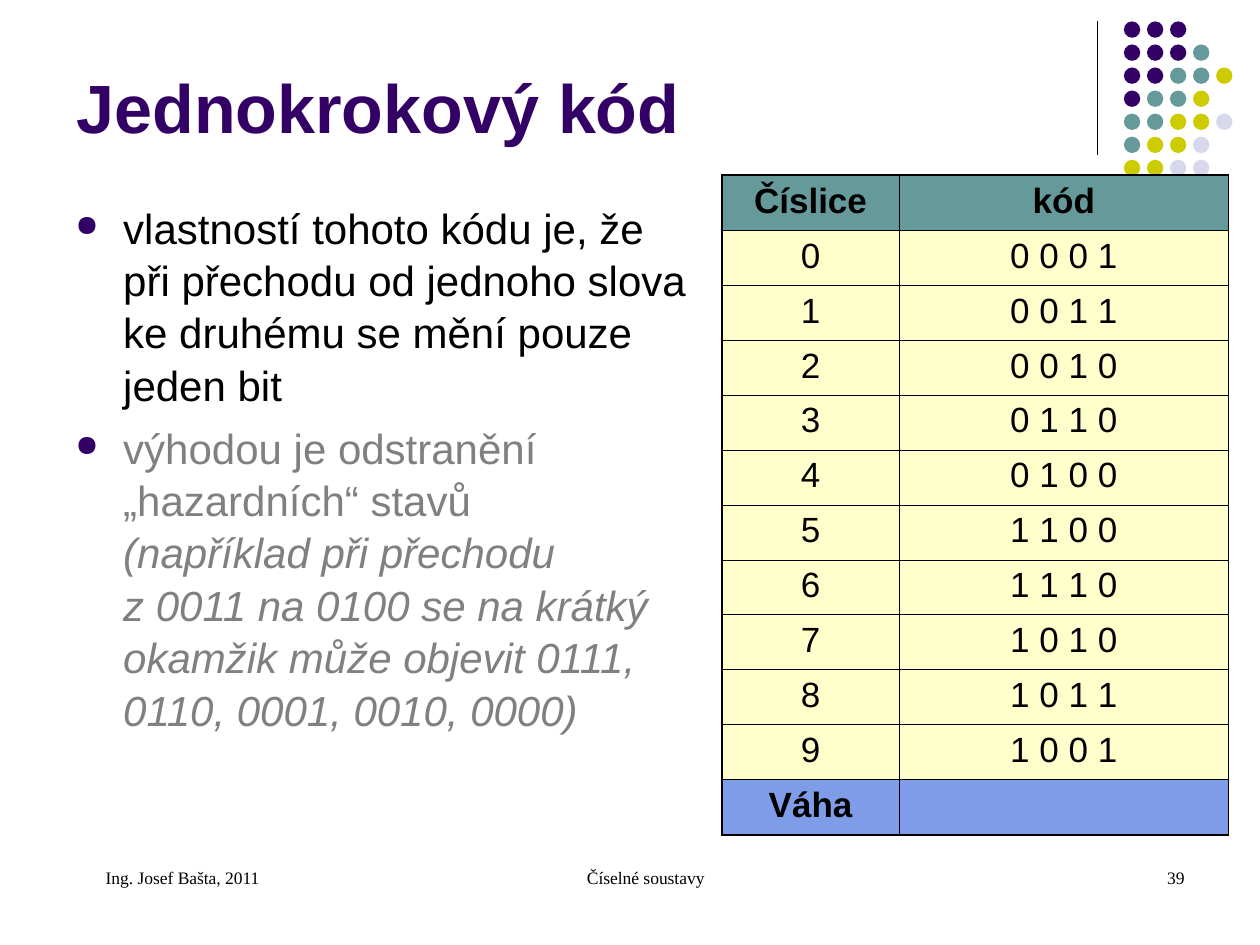
from pptx import Presentation
from pptx.dml.color import RGBColor
from pptx.enum.shapes import MSO_CONNECTOR, MSO_SHAPE
from pptx.enum.text import MSO_ANCHOR, PP_ALIGN
from pptx.oxml.ns import qn
from pptx.util import Inches, Pt
from lxml import etree

LEFT, CENTER, RIGHT = PP_ALIGN.LEFT, PP_ALIGN.CENTER, PP_ALIGN.RIGHT
TOP, BOTTOM = MSO_ANCHOR.TOP, MSO_ANCHOR.BOTTOM
OVAL, STRAIGHT = MSO_SHAPE.OVAL, MSO_CONNECTOR.STRAIGHT

THEME = {
    "purple": "330066", "teal": "669999", "olive": "CCCC00", "lilac": "D8D8EC",
    "black": "000000", "grey": "808080", "cream": "FFFFCC", "blue": "7E9CE8",
    "sans": "Arial", "serif": "Times New Roman",
    "title": 39, "body": 24, "table": 20, "footer": 10,
    "thin": 0.45, "thick": 1.08, "rule": 0.75,
}

TITLE = "Jednokrokový kód"
# Each bullet is a list of runs: text, colour, italic
BULLETS = [
    [("vlastností tohoto kódu je, že při přechodu od jednoho slova "
      "ke druhému se mění pouze jeden bit", "black", False)],
    [("výhodou je odstranění „hazardních“ stavů\n", "grey", False),
     ("(například při přechodu\nz 0011 na 0100 se na krátký okamžik může "
      "objevit 0111, 0110, 0001, 0010, 0000)", "grey", True)],
]
HEADER = ("Číslice", "kód")
CODES = ["0 0 0 1", "0 0 1 1", "0 0 1 0", "0 1 1 0", "0 1 0 0",
         "1 1 0 0", "1 1 1 0", "1 0 1 0", "1 0 1 1", "1 0 0 1"]
WEIGHTS = ("Váha", "")
DOT_COLOURS = {"p": "purple", "t": "teal", "o": "olive", "l": "lilac"}
DOT_ROWS = ["ppp", "pppt", "pptto", "ptto", "ttool", "tool", "ooll"]

# Left, top, width, height in percent of the slide
TITLE_BOX = (5.1, 4.8, 82.5, 11.47)
BODY_BOX = (5, 20.53, 51, 68.8)
TABLE_BOX = (57.3, 18.53, 40.2, 69.8)
FOOTERS = [
    ("Ing. Josef Bašta, 2011", LEFT, (5, 91.07, 23.3, 6.67)),
    ("Číselné soustavy", CENTER, (34.2, 91.07, 31.7, 6.67)),
    ("39", RIGHT, (71.7, 91.07, 23.3, 6.67)),
]
RULE = (87.1, 2.27, 0, 14.13)
FIRST_COLUMN_SHARE = 0.35
# Percent of the slide's width
DOT_LEFT, DOT_TOP, DOT_PITCH, DOT_SIZE = 89.2, 1.7, 1.83, 1.3

presentation = Presentation()
presentation.slide_width, presentation.slide_height = Inches(10), Inches(7.5)
slide = presentation.slides.add_slide(presentation.slide_layouts[6])


def across(percent):
    return round(presentation.slide_width * percent / 100)


def down(percent):
    return round(presentation.slide_height * percent / 100)


def place(box):
    left, top, width, height = box
    return across(left), down(top), across(width), down(height)


def colour(name):
    return RGBColor.from_string(THEME[name])


def add_run(paragraph, text, size, ink="black", face="sans", bold=False, italic=False):
    """Add text to the paragraph, with a line break at each newline."""
    for number, line in enumerate(text.split("\n")):
        if number:
            paragraph.add_line_break()
        if line:
            run = paragraph.add_run()
            run.text = line
            font = run.font
            font.name, font.size = THEME[face], Pt(THEME[size])
            font.bold, font.italic = bold, italic
            font.color.rgb = colour(ink)


def add_text_frame(box, anchor=TOP):
    frame = slide.shapes.add_textbox(*place(box)).text_frame
    frame.word_wrap, frame.vertical_anchor = True, anchor
    return frame


def indent(paragraph, margin, first_line=0):
    properties = paragraph._p.get_or_add_pPr()
    properties.set("marL", str(Inches(margin)))
    properties.set("indent", str(Inches(first_line)))
    return properties


def add_bullet(paragraph):
    properties = indent(paragraph, 0.38, -0.38)
    bullet_colour = etree.SubElement(properties, qn("a:buClr"))
    etree.SubElement(bullet_colour, qn("a:srgbClr"), val=THEME["purple"])
    etree.SubElement(properties, qn("a:buSzPct"), val="70000")
    etree.SubElement(properties, qn("a:buChar"), char="●")


def add_borders(cell, widths):
    """Draw the left, right, top and bottom borders, before any fill is set."""
    properties = cell._tc.get_or_add_tcPr()
    for side, width in zip("LRTB", widths):
        line = etree.SubElement(properties, qn(f"a:ln{side}"), w=str(Pt(width)))
        fill = etree.SubElement(line, qn("a:solidFill"))
        etree.SubElement(fill, qn("a:srgbClr"), val=THEME["black"])


def add_ornament():
    left, top, width, height = place(RULE)
    rule = slide.shapes.add_connector(STRAIGHT, left, top, left + width, top + height)
    rule.line.color.rgb, rule.line.width = colour("black"), Pt(THEME["rule"])
    etree.SubElement(rule._element.spPr, qn("a:effectLst"))
    for row, keys in enumerate(DOT_ROWS):
        for column, key in enumerate(keys):
            dot = slide.shapes.add_shape(
                OVAL, across(DOT_LEFT + column * DOT_PITCH),
                across(DOT_TOP + row * DOT_PITCH), across(DOT_SIZE), across(DOT_SIZE))
            dot.shadow.inherit = False
            dot.fill.solid()
            dot.fill.fore_color.rgb = colour(DOT_COLOURS[key])
            dot.line.fill.background()


def add_body():
    frame = add_text_frame(BODY_BOX)
    for number, runs in enumerate(BULLETS):
        paragraph = frame.add_paragraph() if number else frame.paragraphs[0]
        add_bullet(paragraph)
        paragraph.line_spacing = 1.04
        if number:
            paragraph.space_before = Pt(6)
        for text, ink, italic in runs:
            add_run(paragraph, text, "body", ink, italic=italic)


def add_code_table():
    digits = [(str(digit), code) for digit, code in enumerate(CODES)]
    rows = [HEADER, *digits, WEIGHTS]
    fills = ["teal"] + ["cream"] * len(digits) + ["blue"]
    last_row, last_column = len(rows) - 1, len(HEADER) - 1
    box = place(TABLE_BOX)
    table = slide.shapes.add_table(len(rows), len(HEADER), *box).table
    table.first_row = table.horz_banding = False
    table.columns[0].width = round(box[2] * FIRST_COLUMN_SHARE)
    table.columns[1].width = box[2] - table.columns[0].width
    for row, texts in enumerate(rows):
        table.rows[row].height = box[3] // len(rows)
        for column, text in enumerate(texts):
            cell = table.cell(row, column)
            outer = (column == 0, column == last_column, row == 0, row == last_row)
            add_borders(cell, [THEME["thick" if edge else "thin"] for edge in outer])
            cell.fill.solid()
            cell.fill.fore_color.rgb = colour(fills[row])
            paragraph = cell.text_frame.paragraphs[0]
            paragraph.alignment = CENTER
            add_run(paragraph, text, "table", bold=row in (0, last_row))


def add_footers():
    for text, alignment, box in FOOTERS:
        paragraph = add_text_frame(box).paragraphs[0]
        indent(paragraph, 0.24)
        paragraph.alignment = alignment
        add_run(paragraph, text, "footer", face="serif")


add_ornament()
title = add_text_frame(TITLE_BOX, BOTTOM).paragraphs[0]
add_run(title, TITLE, "title", "purple", bold=True)
add_body()
add_code_table()
add_footers()
presentation.save("out.pptx")
